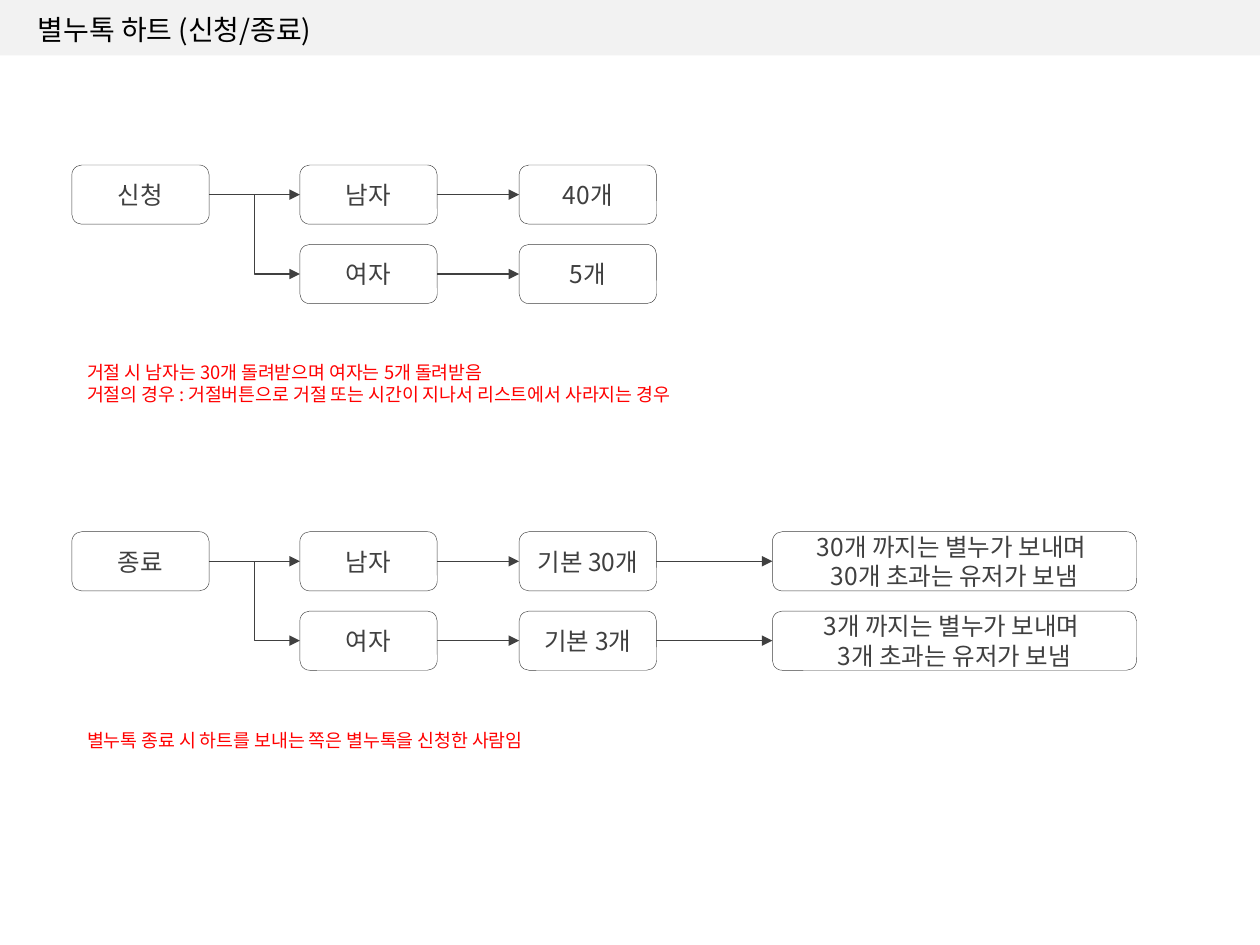
from lxml import etree
from pptx import Presentation
from pptx.dml.color import RGBColor
from pptx.enum.shapes import MSO_CONNECTOR, MSO_SHAPE
from pptx.enum.text import MSO_ANCHOR, MSO_AUTO_SIZE, PP_ALIGN
from pptx.oxml.ns import qn
from pptx.util import Inches, Pt

BAND = MSO_SHAPE.RECTANGLE
ROUNDED = MSO_SHAPE.ROUNDED_RECTANGLE
STRAIGHT, ELBOW = MSO_CONNECTOR.STRAIGHT, MSO_CONNECTOR.ELBOW
LEFT, CENTER = PP_ALIGN.LEFT, PP_ALIGN.CENTER
TOP, MIDDLE = MSO_ANCHOR.TOP, MSO_ANCHOR.MIDDLE
FIT_SHAPE = MSO_AUTO_SIZE.SHAPE_TO_FIT_TEXT

BLACK = RGBColor(0x00, 0x00, 0x00)
GRAY = RGBColor(0x40, 0x40, 0x40)
PALE = RGBColor(0xF2, 0xF2, 0xF2)
RED = RGBColor(0xFF, 0x00, 0x00)
FONT = "Noto Sans CJK KR"

PAGE_WIDTH, PAGE_HEIGHT = 10, 7.5
COLUMNS = (0, 1.81, 3.55, 5.56)
WIDTHS = (1.09, 1.09, 1.09, 2.89)
ROW_PITCH, ROW_HEIGHT = 0.63, 0.47
LEFT_SITE, RIGHT_SITE = 1, 3

FLOWS = (
    (1.31, 2.81, "신청",
     (("남자", "40개"), ("여자", "5개")),
     "거절 시 남자는 30개 돌려받으며 여자는 5개 돌려받음\n"
     "거절의 경우 : 거절버튼으로 거절 또는 시간이 지나서 리스트에서 사라지는 경우"),
    (4.22, 5.64, "종료",
     (("남자", "기본 30개", "30개 까지는 별누가 보내며 \n30개 초과는 유저가 보냄"),
      ("여자", "기본 3개", "3개 까지는 별누가 보내며 \n3개 초과는 유저가 보냄")),
     "별누톡 종료 시 하트를 보내는 쪽은 별누톡을 신청한 사람임"),
)


def write(shape, text, size, color, align, anchor):
    frame = shape.text_frame
    frame.text = text
    frame.word_wrap = True
    frame.vertical_anchor = anchor
    for para in frame.paragraphs:
        para.alignment = align
        for span in para.runs:
            span.font.size = Pt(size)
            span.font.color.rgb = color
            span.font.name = FONT
            east_asian = etree.SubElement(span.font._element, qn("a:ea"))
            east_asian.set("typeface", FONT)


def add_panel(page, kind, box, fill=None, line=None):
    shape = page.shapes.add_shape(kind, *map(Inches, box))
    shape.shadow.inherit = False
    if fill is None:
        shape.fill.background()
    else:
        shape.fill.solid()
        shape.fill.fore_color.rgb = fill
    if line is None:
        shape.line.fill.background()
    else:
        shape.line.color.rgb = line
        shape.line.width = Pt(0.25)
    return shape


def add_arrow(page, kind, source, target):
    arrow = page.shapes.add_connector(kind, 0, 0, 0, 0)
    arrow.begin_connect(source, RIGHT_SITE)
    arrow.end_connect(target, LEFT_SITE)
    arrow.line.color.rgb = GRAY
    arrow.line.width = Pt(0.75)
    outline = arrow.line._get_or_add_ln()
    etree.SubElement(outline, qn("a:tailEnd")).set("type", "triangle")
    etree.SubElement(arrow.element.spPr, qn("a:effectLst"))


def add_header(page, box):
    left, top, width, height = box
    band = add_panel(page, BAND, box, fill=PALE)
    title = page.shapes.title
    title.left, title.top = Inches(left + 0.2), Inches(top + 0.05)
    title.width, title.height = Inches(width / 3), Inches(height - 0.07)
    write(title, "별누톡 하트 (신청/종료)", 16, BLACK, LEFT, TOP)
    title.text_frame.auto_size = FIT_SHAPE
    band.element.addnext(title.element)


def add_flow(page, left, top, start, branches):
    def add_node(column, row, text):
        box = (left + COLUMNS[column], top + row * ROW_PITCH,
               WIDTHS[column], ROW_HEIGHT)
        node = add_panel(page, ROUNDED, box, line=GRAY)
        write(node, text, 14, GRAY, CENTER, MIDDLE)
        return node

    root = add_node(0, 0, start)
    for row, labels in enumerate(branches):
        previous = root
        for column, label in enumerate(labels, 1):
            node = add_node(column, row, label)
            kind = ELBOW if row and column == 1 else STRAIGHT
            add_arrow(page, kind, previous, node)
            previous = node


def add_note(page, box, text):
    note = add_panel(page, ROUNDED, box)
    write(note, text, 10.5, RED, LEFT, MIDDLE)


def main():
    deck = Presentation()
    deck.slide_width, deck.slide_height = Inches(PAGE_WIDTH), Inches(PAGE_HEIGHT)
    page = deck.slides.add_slide(deck.slide_layouts[5])
    add_header(page, (0, 0, PAGE_WIDTH, 0.44))
    margin = 0.57
    for top, note_top, start, branches, note in FLOWS:
        add_flow(page, margin, top, start, branches)
        add_note(page, (margin, note_top, 7.63, ROW_HEIGHT), note)
    deck.save("out.pptx")


if __name__ == "__main__":
    main()
